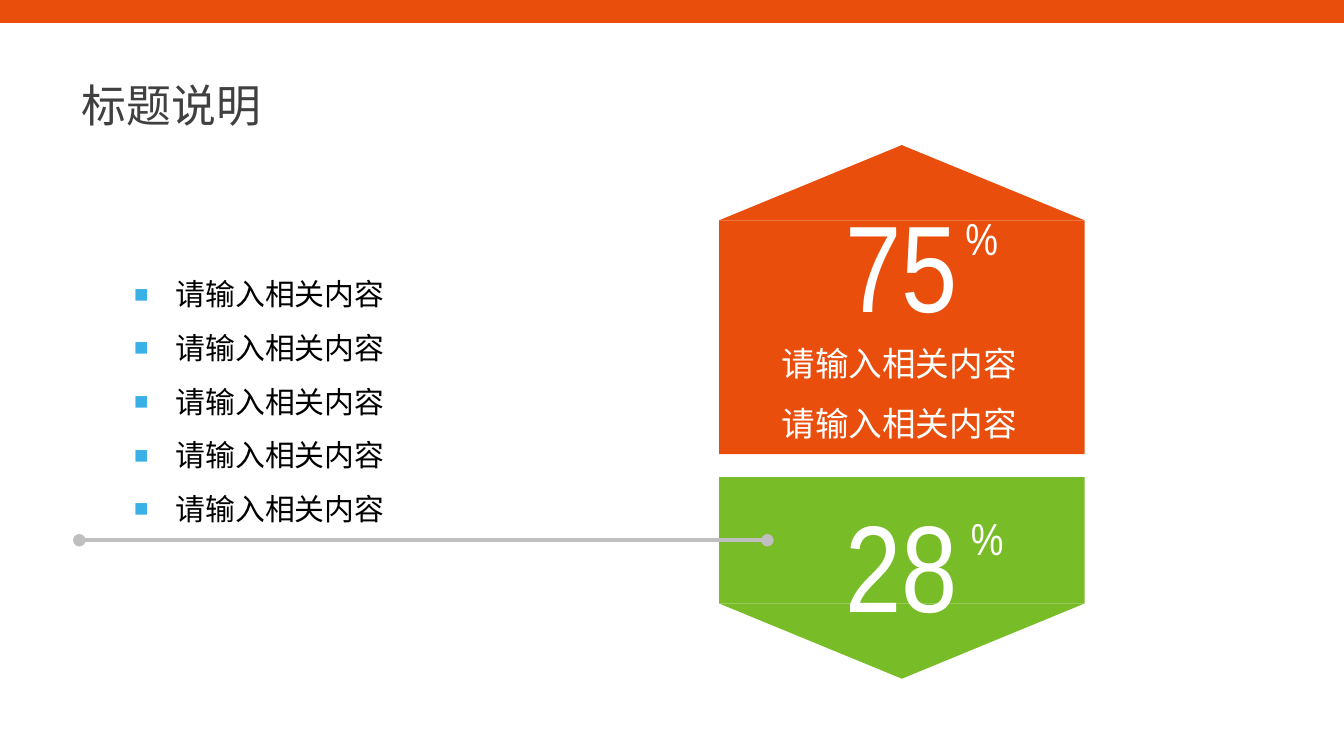
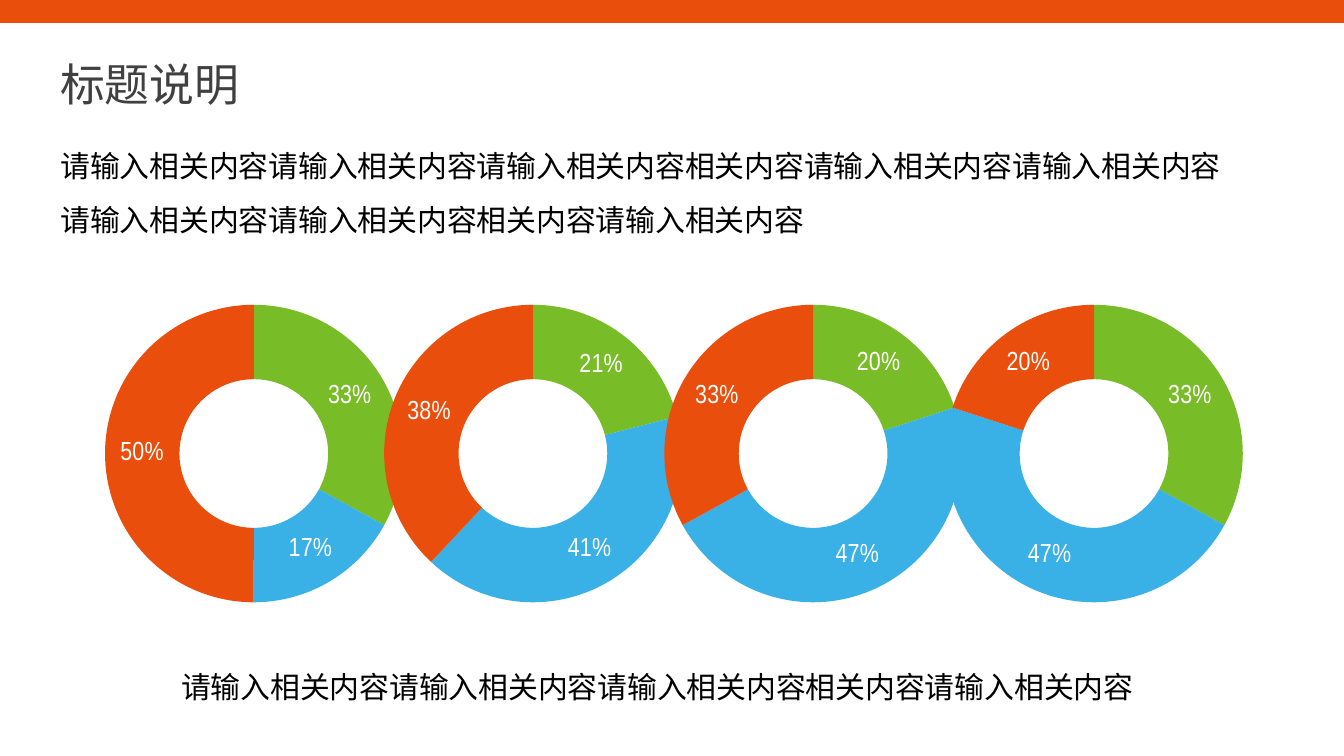
from lxml.etree import SubElement
from pptx import Presentation
from pptx.chart.data import CategoryChartData
from pptx.dml.color import RGBColor
from pptx.enum.chart import XL_CHART_TYPE as ChartType
from pptx.enum.shapes import MSO_CONNECTOR as Connector, MSO_SHAPE as Shape
from pptx.enum.text import MSO_AUTO_SIZE as AutoSize, PP_ALIGN as Align
from pptx.oxml.ns import qn
from pptx.util import Inches, Pt

COLORS = {
    "orange": "E94E0C",
    "green": "78BC28",
    "blue": "39B0E6",
    "gray": "BFBFBF",
    "title": "404040",
    "black": "000000",
    "white": "FFFFFF",
}
CJK_FONT = "Noto Sans CJK SC"
STYLES = {
    "title": {"size": 24, "name": CJK_FONT, "color": "title"},
    "body": {"size": 16, "name": "Calibri", "color": "black"},
    "caption": {"size": 18, "name": "Roboto", "color": "white"},
    "figure": {"size": 66, "name": "Arial Narrow", "color": "white"},
    "percent": {"size": 24, "name": "Arial Narrow", "color": "white"},
    "chart": {"size": 18, "name": "Roboto", "color": "black"},
    "label": {"size": 14, "name": "Arial Narrow", "color": "white"},
}
PROMPT = "请输入相关内容"


def rgb(color):
    return RGBColor.from_string(COLORS[color])


def add_xml(parent, tag, **attributes):
    return SubElement(parent, qn(tag), attributes)


class Deck:
    def __init__(self, width):
        self.prs = Presentation()
        self.width = width
        self.prs.slide_width = Inches(width)
        self.prs.slide_height = Inches(width * 9 / 16)
        self.slide = None

    def new_slide(self, title, left, top):
        self.slide = self.prs.slides.add_slide(self.prs.slide_layouts[6])
        self.shape(self.slide.shapes, Shape.RECTANGLE, (0, 0, self.width, 0.17), "orange")
        self.text([title], (left, top, 2.44, 0.5), "title")

    def shape(self, shapes, kind, box, color, rotation=0):
        block = shapes.add_shape(kind, *map(Inches, box))
        block.shadow.inherit = False
        block.fill.solid()
        block.fill.fore_color.rgb = rgb(color)
        block.line.fill.background()
        block.rotation = rotation

    def arrow_block(self, body, tip_top, rotation, color):
        left, _, width, _ = body
        shapes = self.slide.shapes.add_group_shape().shapes
        self.shape(shapes, Shape.RECTANGLE, body, color)
        self.shape(shapes, Shape.ISOSCELES_TRIANGLE, (left, tip_top, width, 0.56), color, rotation)

    def style(self, font, style):
        values = STYLES[style]
        for name, value in {"size": Pt(values["size"]), "name": values["name"]}.items():
            setattr(font, name, value)
        font.color.rgb = rgb(values["color"])

    def text(self, lines, box, style, align=Align.LEFT, spacing=None, bullets=False):
        frame = self.slide.shapes.add_textbox(*map(Inches, box)).text_frame
        frame.word_wrap = True
        frame.auto_size = AutoSize.SHAPE_TO_FIT_TEXT
        for index, line in enumerate(lines):
            paragraph = frame.add_paragraph() if index else frame.paragraphs[0]
            paragraph.alignment = align
            if spacing:
                paragraph.line_spacing = spacing
            if bullets:
                self.bullet(paragraph)
            run = paragraph.add_run()
            run.text = line
            self.style(run.font, style)
            add_xml(run.font._element, "a:ea", typeface=CJK_FONT)

    def bullet(self, paragraph):
        props = paragraph._p.get_or_add_pPr()
        indent = Inches(0.31)
        props.set("marL", str(indent))
        props.set("indent", str(-indent))
        add_xml(add_xml(props, "a:buClr"), "a:srgbClr", val=COLORS["blue"])
        add_xml(props, "a:buSzPct", val="80000")
        add_xml(props, "a:buFont", typeface="Arial")
        add_xml(props, "a:buChar", char="■")

    def dotted_line(self, start, end):
        rule = self.slide.shapes.add_connector(Connector.STRAIGHT, *map(Inches, start + end))
        rule.line.color.rgb = rgb("gray")
        rule.line.width = Pt(2.25)
        outline = rule.line._get_or_add_ln()
        for tag in ("a:headEnd", "a:tailEnd"):
            add_xml(outline, tag, type="oval")
        add_xml(rule._element.spPr, "a:effectLst")

    def percentage(self, number, figure_left, figure_top, sign_left):
        self.text([number], (figure_left, figure_top, 1.5, 1.21), "figure", Align.CENTER)
        self.text(["%"], (sign_left, figure_top + 0.16, 0.75, 0.5), "percent", Align.CENTER)

    def doughnut(self, shares, box):
        data = CategoryChartData(number_format="0%")
        data.categories = ["1", "2", "3"]
        data.add_series("Series 1", shares)
        chart = self.slide.shapes.add_chart(ChartType.DOUGHNUT, *map(Inches, box), data).chart
        chart.has_legend = False
        chart.has_title = False
        self.style(chart.font, "chart")
        plot = chart.plots[0]
        plot.vary_by_categories = True
        plot.has_data_labels = True
        labels = plot.data_labels
        label_format = {
            "show_value": True,
            "show_percentage": False,
            "number_format": "0%",
            "number_format_is_linked": False,
        }
        for name, value in label_format.items():
            setattr(labels, name, value)
        self.style(labels.font, "label")
        for index, color in enumerate(("green", "blue", "orange")):
            sector = plot.series[0].points[index].format
            sector.fill.solid()
            sector.fill.fore_color.rgb = rgb(color)
            sector.line.fill.background()
        space = chart._chartSpace
        background = add_xml(space, "c:spPr")
        add_xml(background, "a:noFill")
        add_xml(add_xml(background, "a:ln"), "a:noFill")
        space.find(qn("c:txPr")).addprevious(background)


def build_comparison(deck):
    deck.new_slide("标题说明", 0.51, 0.53)
    deck.arrow_block((5.35, 1.64, 2.72, 1.74), 1.08, 0, "orange")
    deck.arrow_block((5.35, 3.55, 2.72, 0.94), 4.49, 180, "green")
    deck.percentage("75", 5.96, 1.36, 6.93)
    deck.percentage("28", 5.96, 3.59, 6.97)
    deck.text([PROMPT] * 5, (0.9, 1.87, 2.21, 2.12), "body", spacing=1.5, bullets=True)
    deck.dotted_line((5.71, 4.02), (0.59, 4.02))
    deck.text([PROMPT] * 2, (5.55, 2.35, 2.28, 1.01), "caption", Align.CENTER, 1.5)


def build_doughnuts(deck):
    deck.new_slide("标题说明", 0.35, 0.37)
    all_shares = [
        (0.33, 0.17, 0.5),
        (0.21, 0.41, 0.38),
        (0.2, 0.47, 0.33),
        (0.33, 0.47, 0.2),
    ]
    for index, shares in enumerate(all_shares):
        deck.doughnut(shares, (2.09 * index, 2.13, 3.74, 2.49))
    closing = PROMPT * 3 + "相关内容" + PROMPT
    intro = closing + PROMPT * 3 + "相关内容" + PROMPT
    deck.text([intro], (0.35, 0.92, 8.98, 0.91), "body", spacing=1.5)
    deck.text([closing], (0.33, 4.79, 9.13, 0.5), "body", Align.CENTER, 1.5)


def main():
    deck = Deck(10)
    build_comparison(deck)
    build_doughnuts(deck)
    deck.prs.save("out.pptx")


if __name__ == "__main__":
    main()
